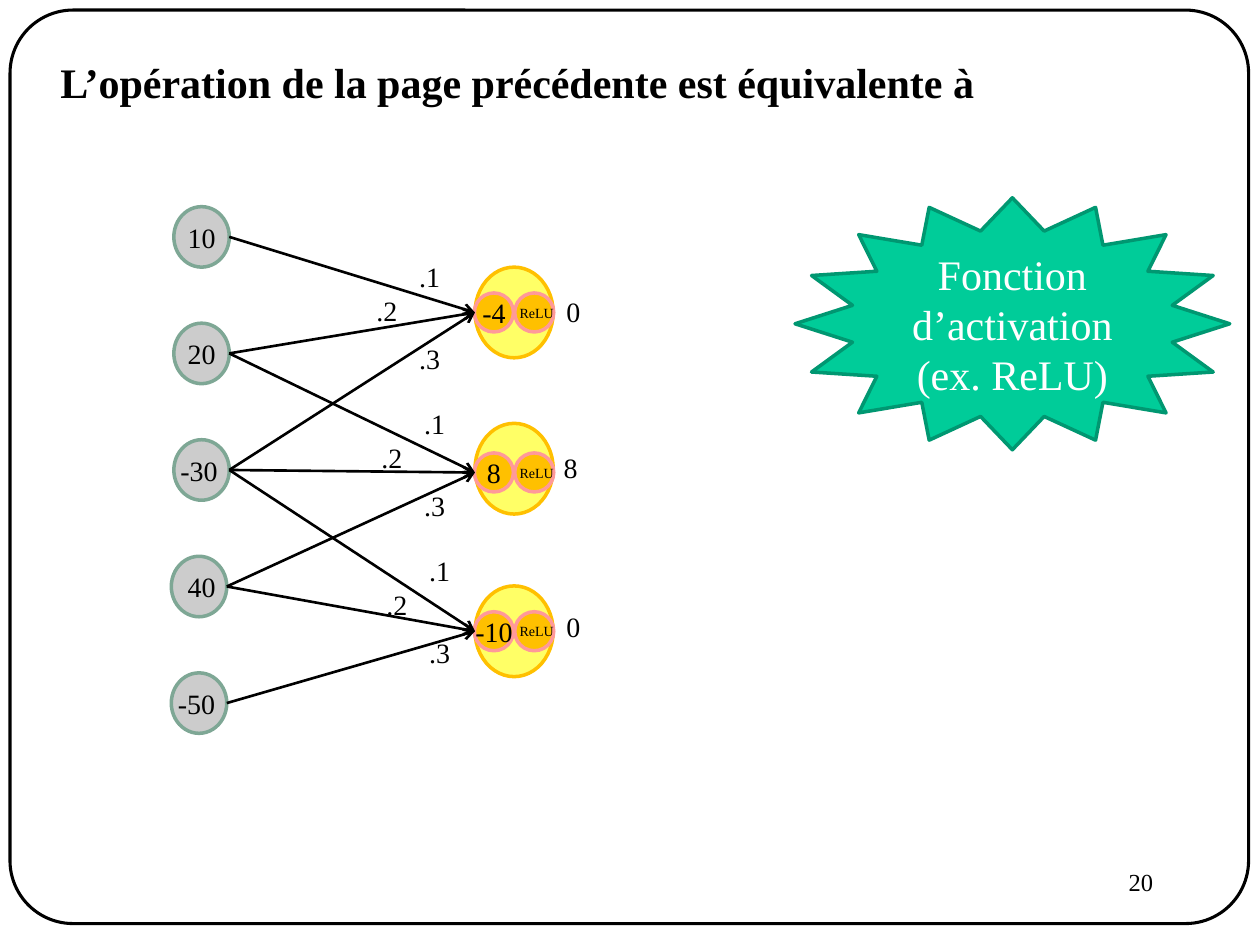
"""Builds a slide showing a 1D convolution drawn as a partly connected layer with ReLU."""
from lxml import etree
from pptx import Presentation
from pptx.dml.color import RGBColor
from pptx.enum.shapes import MSO_CONNECTOR, MSO_SHAPE
from pptx.enum.text import MSO_ANCHOR, PP_ALIGN
from pptx.oxml.ns import qn
from pptx.util import Inches, Pt

OVAL, STAR, FRAME = MSO_SHAPE.OVAL, MSO_SHAPE.STAR_16_POINT, MSO_SHAPE.ROUNDED_RECTANGLE
STRAIGHT = MSO_CONNECTOR.STRAIGHT
LEFT, CENTER, RIGHT = PP_ALIGN.LEFT, PP_ALIGN.CENTER, PP_ALIGN.RIGHT
TOP, MIDDLE = MSO_ANCHOR.TOP, MSO_ANCHOR.MIDDLE
FONT, BLACK, WHITE = "Times New Roman", "000000", "FFFFFF"

TITLE = "L’opération de la page précédente est équivalente à"
CALLOUT = ["Fonction d’activation", "(ex. ReLU)"]
PAGE_NUMBER = "20"
INPUTS = [("10", 1.38), ("20", 1.38), ("-30", 1.38), ("40", 1.36), ("-50", 1.36)]
WEIGHTS = [(".1", 3.41, 2.19), (".2", 3.07, 2.46), (".3", 3.41, 2.84)]
NEURONS = [
    {"sum": "-4", "result": "0", "body": 2.48, "center": 2.48, "result_at": (4.55, 2.47)},
    {"sum": "8", "result": "8", "body": 3.72, "center": 3.75, "result_at": (4.53, 3.71)},
    {"sum": "-10", "result": "0", "body": 5.01, "center": 5.01, "result_at": (4.55, 4.97)},
]
INPUT_TOP, INPUT_PITCH, INPUT_W, INPUT_H = 1.64, 0.925, 0.44, 0.48
NEURON_LEFT, NEURON_W, NEURON_H = 3.77, 0.62, 0.72
SUM_X, RELU_X, UNIT_SIZE = 3.92, 4.24, 0.31
WEIGHT_SHIFT = (0.04, 1.17)
LABEL_W, LABEL_H = 0.7, 0.37


def color(hex_value):
    return RGBColor.from_string(hex_value)


def write(frame, lines, size, hex_value, align, anchor, bold=False):
    frame.vertical_anchor = anchor
    for index, line in enumerate(lines):
        paragraph = frame.paragraphs[0] if index == 0 else frame.add_paragraph()
        paragraph.alignment = align
        run = paragraph.add_run()
        run.text = line
        run.font.name, run.font.size, run.font.bold = FONT, Pt(size), bold
        run.font.color.rgb = color(hex_value)


def add_outline(slide, kind, box, fill, line, width=2):
    shape = slide.shapes.add_shape(kind, *map(Inches, box))
    shape.shadow.inherit = False
    if fill:
        shape.fill.solid()
        shape.fill.fore_color.rgb = color(fill)
    else:
        shape.fill.background()
    shape.line.color.rgb = color(line)
    shape.line.width = Pt(width)
    return shape


def add_oval(slide, cx, cy, width, height, fill, line):
    add_outline(slide, OVAL, (cx - width / 2, cy - height / 2, width, height), fill, line)


def add_label(slide, text, cx, cy, size=16):
    box = (cx - LABEL_W / 2, cy - LABEL_H / 2, LABEL_W, LABEL_H)
    label = slide.shapes.add_textbox(*map(Inches, box))
    label.text_frame.word_wrap = False
    write(label.text_frame, [text], size, BLACK, CENTER, MIDDLE)


def add_arrow(slide, start, end):
    arrow = slide.shapes.add_connector(STRAIGHT, *map(Inches, start + end))
    arrow.line.color.rgb = color(BLACK)
    arrow.line.width = Pt(1.5)
    etree.SubElement(arrow.line._get_or_add_ln(), qn("a:tailEnd"), type="arrow")
    etree.SubElement(arrow._element.spPr, qn("a:effectLst"))


def add_network(slide):
    for neuron in NEURONS:
        add_oval(slide, NEURON_LEFT + NEURON_W / 2, neuron["body"],
                 NEURON_W, NEURON_H, "FFFF66", "FFC000")
        for unit_x in (SUM_X, RELU_X):
            add_oval(slide, unit_x, neuron["center"], UNIT_SIZE, UNIT_SIZE, "FFC000", "FF9999")

    input_exits = []
    for row, (value, left) in enumerate(INPUTS):
        cy = INPUT_TOP + row * INPUT_PITCH + INPUT_H / 2
        add_oval(slide, left + INPUT_W / 2, cy, INPUT_W, INPUT_H, "CCCCCC", "7EA795")
        add_label(slide, value, 1.6 if len(value) == 2 else left + 0.2, cy)
        input_exits.append((left + INPUT_W, cy))

    for row, neuron in enumerate(NEURONS):
        for tap, (weight, x, y) in enumerate(WEIGHTS):
            add_arrow(slide, input_exits[row + tap], (NEURON_LEFT, neuron["center"]))
            add_label(slide, weight, x + row * WEIGHT_SHIFT[0], y + row * WEIGHT_SHIFT[1])
        add_label(slide, neuron["sum"], SUM_X, neuron["center"])
        add_label(slide, "ReLU", RELU_X + 0.02, neuron["center"], 8)
        add_label(slide, neuron["result"], *neuron["result_at"])


def main():
    deck = Presentation()
    deck.slide_width, deck.slide_height = Inches(10), Inches(7.5)
    slide = deck.slides.add_slide(deck.slide_layouts[5])

    title = slide.shapes.title
    title.left, title.top, title.width, title.height = map(Inches, (0.38, 0.4, 8.5, 0.5))
    write(title.text_frame, [TITLE], 24, BLACK, LEFT, TOP, bold=True)

    border = add_outline(slide, FRAME, (0.08, 0.08, 9.83, 7.25), None, BLACK, 1.75)
    border.adjustments[0] = 0.069

    add_network(slide)

    callout = add_outline(slide, STAR, (6.31, 1.57, 3.45, 2), "00CC99", "009771")
    write(callout.text_frame, CALLOUT, 24, WHITE, CENTER, MIDDLE)

    page = slide.shapes.add_textbox(*map(Inches, (7.17, 6.83, 2.08, 0.5)))
    page.text_frame.word_wrap = True
    write(page.text_frame, [PAGE_NUMBER], 14, BLACK, RIGHT, TOP)

    deck.save("out.pptx")


if __name__ == "__main__":
    main()
